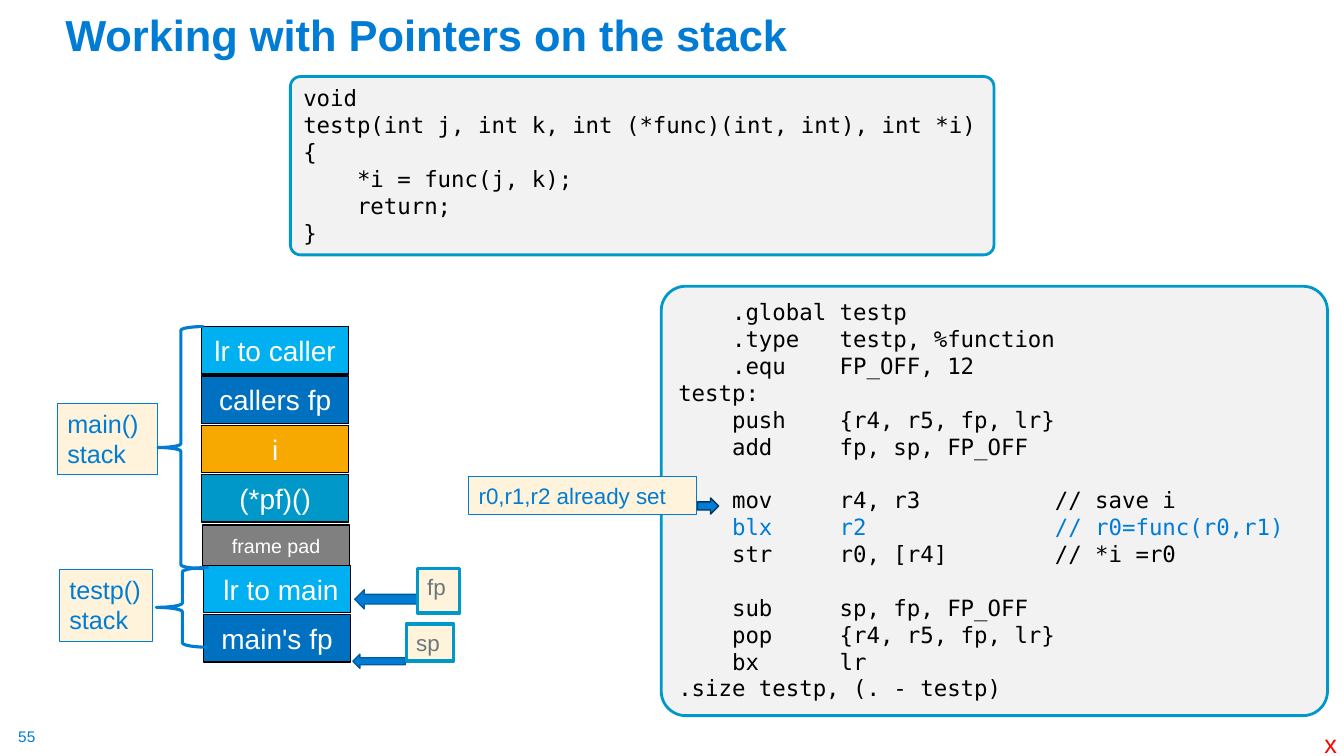
import pptx
import pptx.util
import pptx.dml.color
import pptx.enum.shapes
import pptx.enum.text

Pt = pptx.util.Pt
RGBColor = pptx.dml.color.RGBColor
SHAPE = pptx.enum.shapes.MSO_SHAPE
ANCHOR = pptx.enum.text.MSO_ANCHOR
ALIGN = pptx.enum.text.PP_ALIGN

BLUE = RGBColor(0x00, 0x7C, 0xD5)
TEAL = RGBColor(0x00, 0x98, 0xC9)
SKY = RGBColor(0x00, 0xB0, 0xF0)
ROYAL = RGBColor(0x00, 0x70, 0xC0)
AMBER = RGBColor(0xF7, 0xA9, 0x01)
CREAM = RGBColor(0xFF, 0xF4, 0xDB)
PALE = RGBColor(0xF2, 0xF2, 0xF2)
GRAY = RGBColor(0x80, 0x80, 0x80)
SLATE = RGBColor(0x6B, 0x76, 0x7D)
NAVY = RGBColor(0x00, 0x36, 0x5D)
DARK_BLUE = RGBColor(0x00, 0x5C, 0x9E)
RED = RGBColor(0xFF, 0x00, 0x00)
BLACK = RGBColor(0x00, 0x00, 0x00)
WHITE = RGBColor(0xFF, 0xFF, 0xFF)

SANS = "Arial"
MONO = "DejaVu Sans Mono"
CODE_LINE = 19.2

C_CODE = """void
testp(int j, int k, int (*func)(int, int), int *i)
{
    *i = func(j, k);
    return;
}"""

ASSEMBLY = """    .global testp
    .type   testp, %function
    .equ    FP_OFF, 12
testp:
    push    {r4, r5, fp, lr}
    add     fp, sp, FP_OFF

    mov     r4, r3          // save i
    blx     r2              // r0=func(r0,r1)
    str     r0, [r4]        // *i =r0

    sub     sp, fp, FP_OFF
    pop     {r4, r5, fp, lr}
    bx      lr
.size testp, (. - testp)"""

# Stack cells: label, left, top, height, fill, text size, left inset
ROW, CELL_HEIGHT, MAIN_TOP, TESTP_TOP = 35.28, 33.84, 233.3, 403.9
STACK = [
    ("lr to caller", 144, MAIN_TOP, CELL_HEIGHT, SKY, 20, 7.2),
    ("callers fp", 144, MAIN_TOP + ROW, CELL_HEIGHT, ROYAL, 20, 7.2),
    ("i", 144, MAIN_TOP + 2 * ROW, CELL_HEIGHT, AMBER, 20, 7.2),
    ("(*pf)()", 144, MAIN_TOP + 3 * ROW, CELL_HEIGHT, TEAL, 20, 7.2),
    ("frame pad", 144.7, 375.1, 29.5, GRAY, 14, 7.2),
    ("lr to main", 145.4, TESTP_TOP, CELL_HEIGHT, SKY, 20, 12.7),
    ("main's fp", 145.4, TESTP_TOP + ROW, CELL_HEIGHT, ROYAL, 20, 7.2),
]


def write(holder, text, size, color, font=SANS, bold=False, align=ALIGN.LEFT,
          anchor=ANCHOR.TOP, wrap=True, inset=(7.2, 3.6), left_inset=None,
          line_spacing=None, highlight=None):
    """Fill a shape with lines; an empty line becomes space before the next."""
    frame = holder.text_frame
    frame.word_wrap = wrap
    frame.vertical_anchor = anchor
    frame.margin_left = Pt(inset[0] if left_inset is None else left_inset)
    frame.margin_right = Pt(inset[0])
    frame.margin_top = frame.margin_bottom = Pt(inset[1])
    gap = 0
    for number, line in enumerate(text.split("\n")):
        if not line:
            gap = CODE_LINE
            continue
        paragraph = frame.add_paragraph() if number else frame.paragraphs[0]
        paragraph.alignment = align
        if gap:
            paragraph.space_before = Pt(gap)
            gap = 0
        if line_spacing:
            paragraph.line_spacing = line_spacing
        run = paragraph.add_run()
        run.text = line
        run.font.name = font
        run.font.size = Pt(size)
        run.font.bold = bold
        marked = highlight and highlight in line
        run.font.color.rgb = BLUE if marked else color


def add_label(slide, box, text, size, color, **style):
    label = slide.shapes.add_textbox(*map(Pt, box))
    write(label, text, size, color, **style)


def add_figure(slide, kind, box, line, line_width, fill=None):
    figure = slide.shapes.add_shape(kind, *map(Pt, box))
    figure.shadow.inherit = False
    if fill is None:
        figure.fill.background()
    else:
        figure.fill.solid()
        figure.fill.fore_color.rgb = fill
    figure.line.color.rgb = line
    figure.line.width = Pt(line_width)
    return figure


def add_code(slide, box, code, highlight=None):
    panel = add_figure(slide, SHAPE.ROUNDED_RECTANGLE, box, TEAL, 2, PALE)
    panel.adjustments[0] = 0.057
    write(panel, code, 16, BLACK, font=MONO, highlight=highlight)


def add_note(slide, box, text, size, color=BLUE, line=BLUE, line_width=0.75,
             wrap=True):
    note = add_figure(slide, SHAPE.RECTANGLE, box, line, line_width, CREAM)
    write(note, text, size, color, wrap=wrap)


def add_stack_cell(slide, text, left, top, height, fill, size, left_inset):
    cell = add_figure(slide, SHAPE.RECTANGLE, (left, top, 105.1, height),
                      BLACK, 1, fill)
    write(cell, text, size, WHITE, align=ALIGN.CENTER, anchor=ANCHOR.MIDDLE,
          left_inset=left_inset)


def main():
    deck = pptx.Presentation()
    deck.slide_width, deck.slide_height = Pt(960), Pt(540)
    slide = deck.slides.add_slide(deck.slide_layouts[6])

    # Title and page marks
    add_label(slide, (13, 519.1, 13.7, 13.7), "55", 11, BLUE, wrap=False,
              inset=(0, 0))
    add_label(slide, (39.6, 9.4, 828, 37.4),
              "Working with Pointers on the stack", 31, BLUE, bold=True,
              anchor=ANCHOR.BOTTOM, line_spacing=0.9)
    add_label(slide, (938.9, 517, 23.8, 28.8), "x", 18, RED, wrap=False)

    # Code panels
    add_code(slide, (207.4, 54.7, 502.6, 127.4), C_CODE)
    add_code(slide, (472.3, 204.5, 475.9, 306.7), ASSEMBLY, highlight="blx")

    # Note on the registers
    add_note(slide, (334.8, 340.6, 162.7, 26.9), "r0,r1,r2 already set", 16)
    add_figure(slide, SHAPE.RIGHT_ARROW, (498.2, 355.7, 15.1, 11.5),
               NAVY, 1, BLUE)

    # Stack
    for cell in STACK:
        add_stack_cell(slide, *cell)

    # Frame and stack pointers
    for name, box, arrow in [
        ("fp", (298.1, 406.1, 30.2, 31.7), (253.4, 421.2, 44.6, 13.7)),
        ("sp", (290.2, 445.7, 33.8, 26.6), (252, 467.3, 37.4, 10.1)),
    ]:
        add_figure(slide, SHAPE.LEFT_ARROW, arrow, DARK_BLUE, 1, BLUE)
        add_note(slide, box, name, 16, SLATE, TEAL, 2.5)

    # Owners of the stack frames
    for owner, box, brace in [
        ("main()\nstack", (41, 288, 71.3, 51.1), (113, 233.3, 32.4, 172.8)),
        ("testp()\nstack", (42.5, 406.8, 66.2, 51.1),
         (111.6, 405.4, 37.4, 56.9)),
    ]:
        add_note(slide, box, owner, 18, wrap=False)
        add_figure(slide, SHAPE.LEFT_BRACE, brace, BLUE, 2.25)

    deck.save("out.pptx")


if __name__ == "__main__":
    main()
